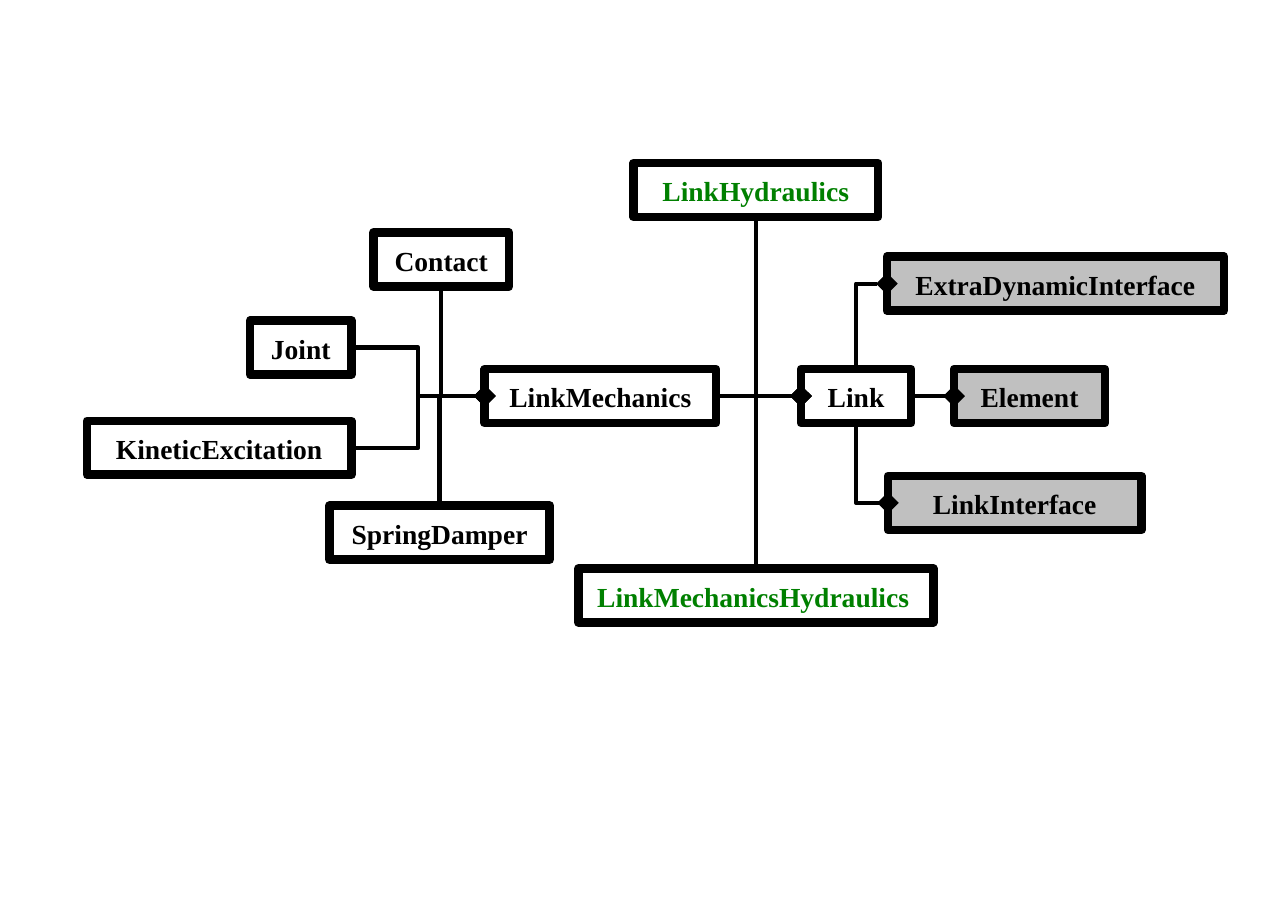
from lxml import etree
from pptx import Presentation
from pptx.dml.color import RGBColor
from pptx.enum import shapes, text
from pptx.oxml.ns import qn
from pptx.util import Inches, Pt

BLACK = RGBColor(0x00, 0x00, 0x00)
GREEN = RGBColor(0x00, 0x80, 0x00)
GRAY = RGBColor(0xC0, 0xC0, 0xC0)
BOX_HEIGHT = 0.49
TOP, LEFT, BOTTOM, RIGHT = range(4)

prs = Presentation()
prs.slide_width = Inches(11.69)
prs.slide_height = Inches(8.26)
s = prs.slides.add_slide(prs.slide_layouts[6])

classes = [
    ("LinkInterface", 8.06, 4.32, 2.3, GRAY, BLACK),
    ("Link", 7.27, 3.35, 1, None, BLACK),
    ("Contact", 3.39, 2.11, 1.23, None, BLACK),
    ("Joint", 2.27, 2.91, 0.92, None, BLACK),
    ("ExtraDynamicInterface", 8.05, 2.33, 3.06, GRAY, BLACK),
    ("LinkMechanics", 4.4, 3.35, 2.1, None, BLACK),
    ("LinkHydraulics", 5.75, 1.48, 2.22, None, GREEN),
    ("LinkMechanicsHydraulics", 5.25, 5.16, 3.22, None, GREEN),
    ("SpringDamper", 2.99, 4.59, 2, None, BLACK),
    ("KineticExcitation", 0.79, 3.82, 2.4, None, BLACK),
    ("Element", 8.66, 3.35, 1.37, GRAY, BLACK),
]

boxes = {}
for name, x, y, width, fill, color in classes:
    sp = s.shapes.add_shape(shapes.MSO_SHAPE.RECTANGLE, Inches(x), Inches(y),
                            Inches(width), Inches(BOX_HEIGHT))
    sp.shadow.inherit = False
    if fill is None:
        sp.fill.background()
    else:
        sp.fill.solid()
        sp.fill.fore_color.rgb = fill
    sp.line.color.rgb = BLACK
    sp.line.width = Pt(5.67)
    tf = sp.text_frame
    tf.text = name
    tf.word_wrap = True
    tf.auto_size = text.MSO_AUTO_SIZE.SHAPE_TO_FIT_TEXT
    tf.vertical_anchor = text.MSO_ANCHOR.TOP
    tf.margin_left = tf.margin_right = Inches(0.17)
    tf.margin_top = tf.margin_bottom = Inches(0.1)
    p = tf.paragraphs[0]
    p.alignment = text.PP_ALIGN.CENTER
    if name == "LinkMechanicsHydraulics":
        p.alignment = text.PP_ALIGN.LEFT
    p.space_before = Pt(6.9)
    r = p.runs[0]
    r.font.name = "Times New Roman"
    r.font.size = Pt(18)
    r.font.bold = True
    r.font.color.rgb = color
    boxes[name] = sp

links = [
    ("LinkInterface", "Link", BOTTOM),
    ("LinkMechanics", "Contact", BOTTOM),
    ("Link", "LinkMechanics", RIGHT),
    ("ExtraDynamicInterface", "Link", TOP),
    ("Link", "LinkHydraulics", BOTTOM),
    ("LinkMechanics", "Joint", RIGHT),
    ("Link", "LinkMechanicsHydraulics", TOP),
    ("LinkMechanics", "SpringDamper", TOP),
    ("LinkMechanics", "KineticExcitation", RIGHT),
    ("Element", "Link", RIGHT),
]

for parent, child, side in links:
    level = boxes[parent].top == boxes[child].top
    kind = shapes.MSO_CONNECTOR.STRAIGHT if level else shapes.MSO_CONNECTOR.ELBOW
    c = s.shapes.add_connector(kind, 0, 0, 0, 0)
    c.begin_connect(boxes[parent], LEFT)
    c.end_connect(boxes[child], side)
    c.line.color.rgb = BLACK
    c.line.width = Pt(2.83)
    spPr = c.element.spPr
    if side != RIGHT:
        spPr.find(qn("a:prstGeom")).set("prst", "bentConnector2")
    etree.SubElement(spPr.find(qn("a:ln")), qn("a:headEnd"),
                     type="diamond", w="lg", len="lg")
    etree.SubElement(spPr, qn("a:effectLst"))

prs.save("out.pptx")
